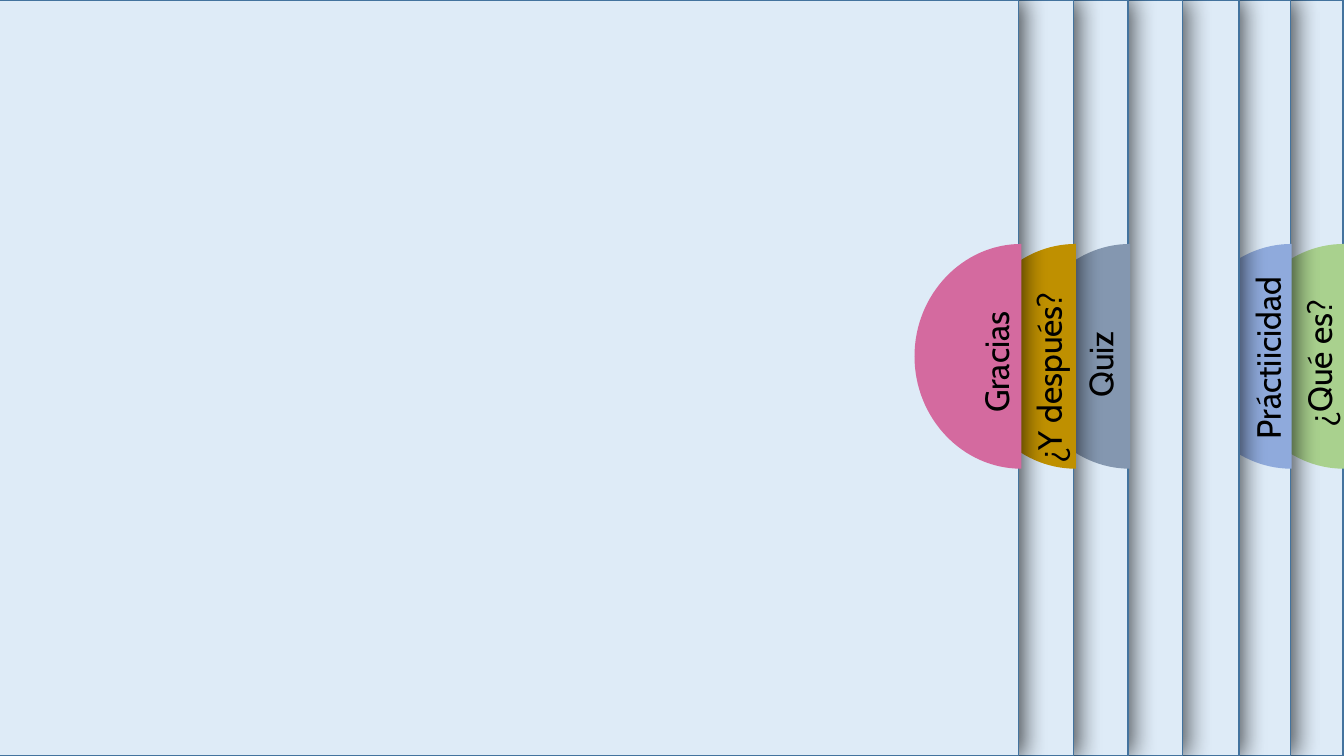
"""Build a slide of stacked pages with half-round index tabs."""
from dataclasses import dataclass
from typing import Optional

from lxml import etree
from pptx import Presentation
from pptx import util as u
from pptx.dml.color import RGBColor
from pptx.enum import shapes, text
from pptx.oxml.ns import qn

WIDTH, HEIGHT = 13.33, 7.5
TAB_TOP, TAB_WIDTH, TAB_HEIGHT = 2.42, 1.06, 2.23
ARC_PULL = 0.55
LABEL_HEIGHT = 0.5
PAPER, EDGE, INK = "DEEBF7", "43739E", "000000"


@dataclass
class Tab:
    label: str
    color: str
    left: float
    label_left: float
    label_top: float
    label_width: float


@dataclass
class Page:
    left: float
    tab: Optional[Tab] = None


PAGES = [
    Page(-0.01, Tab("¿Qué es?", "A9D18E", 12.27, 12.21, 3.22, 1.74)),
    Page(-0.53, Tab(" Práctiicidad", "8FAADC", 11.75, 11.53, 3.24, 2.08)),
    Page(-1.04),
    Page(-1.6),
    Page(-2.14, Tab("Quiz", "8497B0", 10.15, 10.34, 3.22, 1.14)),
    Page(-2.68, Tab("¿Y después?", "BF9000", 9.61, 9.02, 3.07, 2.76)),
    Page(-3.23, Tab("Gracias", "D46A9F", 9.07, 9.15, 3.22, 1.45)),
]


def paint(fmt, color: str) -> None:
    fmt.solid()
    fmt.fore_color.rgb = RGBColor.from_string(color)


def add_shadow(sp) -> None:
    sp.shadow.inherit = False
    effects = sp._element.spPr.find(qn("a:effectLst"))
    shadow = etree.SubElement(
        effects, qn("a:outerShdw"), blurRad=str(u.Pt(17)), dist=str(u.Pt(3)),
        dir="0", algn="l", rotWithShape="0")
    color = etree.SubElement(shadow, qn("a:srgbClr"), val=INK)
    etree.SubElement(color, qn("a:alpha"), val="65000")


def add_page(slide, page: Page) -> None:
    sp = slide.shapes.add_shape(
        shapes.MSO_SHAPE.RECTANGLE, u.Inches(page.left), 0,
        u.Inches(WIDTH), u.Inches(HEIGHT))
    paint(sp.fill, PAPER)
    paint(sp.line.fill, EDGE)
    sp.line.width = u.Pt(1)
    add_shadow(sp)


def curve_segments(sp) -> None:
    """Turn the two straight sides of a half disc into quarter arcs."""
    w, h = sp.width, sp.height
    pull_x, pull_y = w * ARC_PULL, h / 2 * ARC_PULL
    arcs = [
        [(pull_x, 0), (w, h / 2 - pull_y), (w, h / 2)],
        [(w, h / 2 + pull_y), (pull_x, h), (0, h)],
    ]
    sides = list(sp._element.spPr.iter(qn("a:lnTo")))
    for side, arc in zip(sides, arcs):
        curve = etree.Element(qn("a:cubicBezTo"))
        for x, y in arc:
            etree.SubElement(curve, qn("a:pt"), x=str(int(x)), y=str(int(y)))
        side.getparent().replace(side, curve)


def add_half_disc(slide, tab: Tab) -> None:
    left, top = u.Inches(tab.left), u.Inches(TAB_TOP)
    right, bottom = left + u.Inches(TAB_WIDTH), top + u.Inches(TAB_HEIGHT)
    builder = slide.shapes.build_freeform(left, top)
    builder.add_line_segments(
        [(right, (top + bottom) // 2), (left, bottom)], close=True)
    sp = builder.convert_to_shape()
    curve_segments(sp)
    sp.rotation = 180
    paint(sp.fill, tab.color)
    sp.line.fill.background()
    sp.shadow.inherit = False


def add_label(slide, tab: Tab) -> None:
    sp = slide.shapes.add_textbox(
        u.Inches(tab.label_left), u.Inches(tab.label_top),
        u.Inches(tab.label_width), u.Inches(LABEL_HEIGHT))
    sp.rotation = 270
    tf = sp.text_frame
    tf.word_wrap = True
    tf.auto_size = text.MSO_AUTO_SIZE.SHAPE_TO_FIT_TEXT
    tf.text = tab.label
    font = tf.paragraphs[0].runs[0].font
    font.name = "Cabin"
    font.size = u.Pt(24)
    paint(font.fill, INK)


def main() -> None:
    prs = Presentation()
    prs.slide_width, prs.slide_height = u.Inches(WIDTH), u.Inches(HEIGHT)
    slide = prs.slides.add_slide(prs.slide_layouts[6])
    paint(slide.background.fill, PAPER)
    for page in PAGES:
        add_page(slide, page)
        if page.tab:
            add_half_disc(slide, page.tab)
            add_label(slide, page.tab)
    prs.save("out.pptx")


if __name__ == "__main__":
    main()
